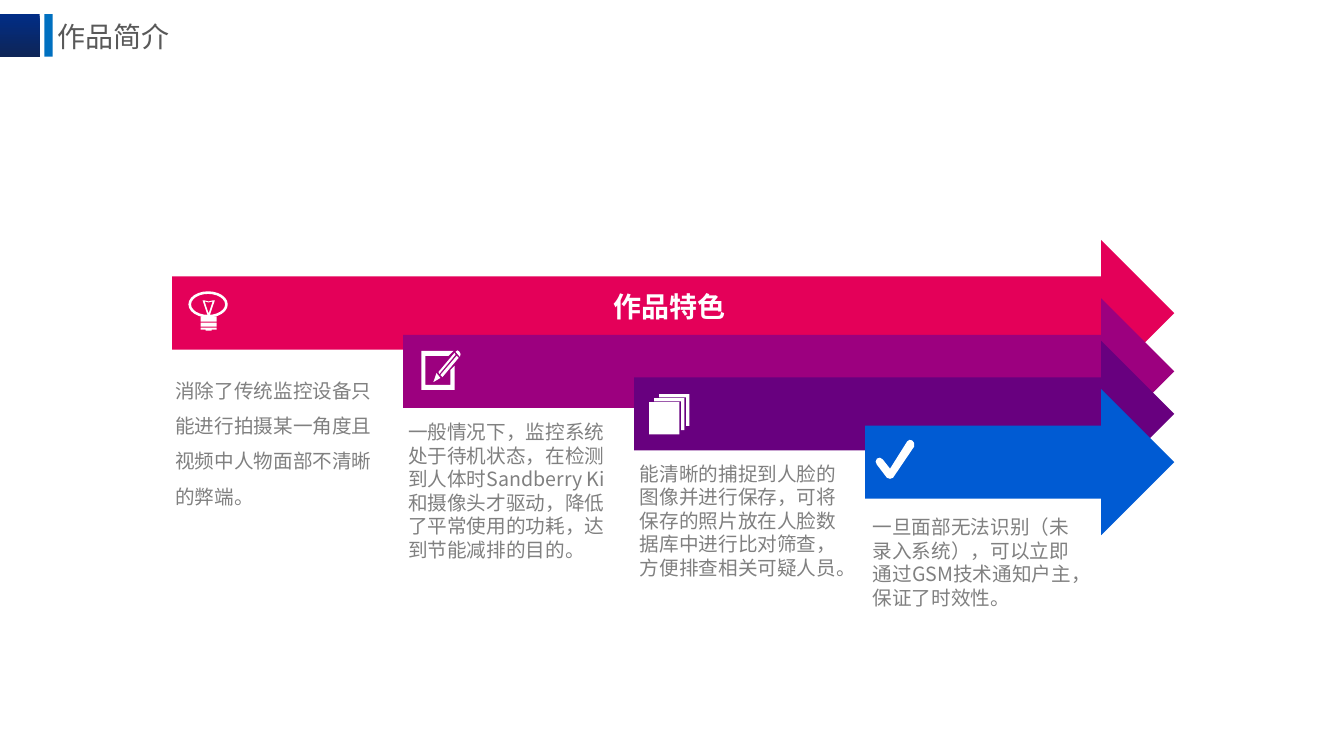
from dataclasses import dataclass

from lxml import etree
from pptx import Presentation
from pptx import util as u
from pptx.dml import color
from pptx.enum import shapes, text
from pptx.oxml import ns

COLORS = {
    "navy": "012D86", "midnight": "0E2557", "sky": "0070C0",
    "heading": "595959", "body": "808080", "white": "FFFFFF",
    "pink": "E40059", "magenta": "9C007F", "purple": "68007F", "blue": "005BD3",
}
CJK_FONT = "Noto Sans CJK SC"
ARROW_LEFT, ARROW_STEP, ARROW_TIP, ARROW_HEIGHT = 123, 165, 838.8, 104.4

Box = tuple[float, float, float, float]
Contour = list[tuple[float, float]]


@dataclass
class Feature:
    color: str
    arrow_top: float
    note_box: Box
    note: str
    line_spacing: float = 1.0


@dataclass
class Icon:
    outlines: list[list[Contour]]
    boxes: list[Box]
    rings: list[Box]


FEATURES = [
    Feature("pink", 171.4, (118.1, 258.5, 157, 105.8),
            "消除了传统监控设备只能进行拍摄某一角度且视频中人物面部不清晰的弊端。", 1.5),
    Feature("magenta", 213.1, (284.4, 296.6, 157, 108.7),
            "一般情况下，监控系统处于待机状态，在检测到人体时Sandberry Ki和摄像头才驱动，"
            "降低了平常使用的功耗，达到节能减排的目的。"),
    Feature("purple", 243.4, (450, 326.2, 157, 92.2),
            "能清晰的捕捉到人脸的图像并进行保存，可将保存的照片放在人脸数据库中进行比对筛查，"
            "方便排查相关可疑人员。"),
    Feature("blue", 277.9, (616.3, 364.3, 161.3, 74.9),
            "一旦面部无法识别（未录入系统），可以立即通过GSM技术通知户主，保证了时效性。"),
]


def page_edge(left: float, top: float, width: float, height: float) -> Contour:
    """Outline the strip along the top and right of a page that lies behind another."""
    right, bottom, strip = left + width, top + height, 2.4
    return [(left, top), (right, top), (right, bottom), (right - strip, bottom),
            (right - strip, top + strip), (left, top + strip)]


BULB = Icon(
    outlines=[
        [[(143.3, 234), (154.8, 234), (154.8, 235.4), (151.2, 235.4), (151.2, 236.2),
          (146.9, 236.2), (146.9, 235.4), (143.3, 235.4)]],
        [[(144.7, 214.6), (146.2, 214.6), (149, 215.3), (151.9, 214.6), (153.4, 214.6),
          (149.8, 225.4), (148.3, 225.4)],
         [(149, 223.9), (151.9, 215.3), (149, 216), (146.2, 215.3)]],
    ],
    boxes=[(143.3, 226, 11.5, 3.7), (143.3, 230.4, 11.5, 2.9)],
    rings=[(134.6, 208.1, 28.1, 18.7)],
)
PENCIL = Icon(
    outlines=[
        [[(314.6, 270), (311.8, 266.4), (309.6, 272.9)]],
        [[(324.7, 252), (313.2, 265.7), (313.9, 267.1), (325.4, 253.4)]],
        [[(314.6, 267.8), (316.1, 269.3), (327.6, 255.6), (326.2, 254.2)]],
        [[(325.4, 251.3), (326.9, 250.2), (328.2, 251.3), (329, 253), (328.5, 254.9)]],
        [[(321.8, 275), (303.8, 275), (303.8, 254.2), (320.4, 254.2), (324, 250.6),
          (301, 250.6), (301, 278.6), (324.7, 278.6), (324.7, 261.4), (321.8, 264.2)]],
    ],
    boxes=[], rings=[],
)
PAGES = Icon(
    outlines=[[page_edge(463.7 + 3.6 * i, 287.3 - 2.9 * i, 21.6, 22.8)] for i in (1, 2)],
    boxes=[(463.7, 287.3, 21.6, 23)], rings=[],
)
CHECK = Icon(
    outlines=[[[(635.8, 342), (633.6, 341.3), (626.4, 331.9), (625.5, 329.8), (626.4, 327.6),
                (628.6, 326.9), (630.7, 328.3), (635.8, 334.8), (648, 315.4), (649.6, 314.2),
                (651.6, 314.6), (653, 316.4), (653, 319), (637.9, 341.3)]]],
    boxes=[], rings=[],
)


def rgb(name: str) -> color.RGBColor:
    return color.RGBColor.from_string(COLORS[name])


def paint(shape, color_name: str) -> None:
    shape.shadow.inherit = False
    shape.line.fill.background()
    shape.fill.solid()
    shape.fill.fore_color.rgb = rgb(color_name)


def add_preset(parent, kind: shapes.MSO_SHAPE, box: Box, color_name: str):
    shape = parent.add_shape(kind, *map(u.Pt, box))
    paint(shape, color_name)
    return shape


def add_run(paragraph, words: str, size: float, color_name: str,
            latin: str = CJK_FONT, bold: bool = False) -> None:
    run = paragraph.add_run()
    run.text = words
    run.font.name = latin
    run.font.size = u.Pt(size)
    run.font.bold = bold
    run.font.color.rgb = rgb(color_name)
    latin_element = run.font._element.find(ns.qn("a:latin"))
    east_asian = etree.Element(ns.qn("a:ea"), typeface=CJK_FONT)
    latin_element.addnext(east_asian)


def add_outline(parent, contours: list[Contour]) -> None:
    points = [[(u.Pt(x), u.Pt(y)) for x, y in contour] for contour in contours]
    builder = parent.build_freeform(*points[0][0], scale=1.0)
    for index, contour in enumerate(points):
        if index:
            builder.move_to(*contour[0])
        builder.add_line_segments(contour[1:], close=True)
    paint(builder.convert_to_shape(), "white")


def add_icon(slide, icon: Icon) -> None:
    group = slide.shapes.add_group_shape().shapes
    for ring in icon.rings:
        add_preset(group, shapes.MSO_SHAPE.DONUT, ring, "white").adjustments[0] = 0.1
    for box in icon.boxes:
        add_preset(group, shapes.MSO_SHAPE.RECTANGLE, box, "white")
    for contours in icon.outlines:
        add_outline(group, contours)


def add_header(slide) -> None:
    block = add_preset(slide.shapes, shapes.MSO_SHAPE.RECTANGLE, (-0.7, 10.1, 29, 30.5), "navy")
    block.fill.gradient()
    block.fill.gradient_angle = 270
    for stop, name in zip(block.fill.gradient_stops, ("navy", "midnight")):
        stop.color.rgb = rgb(name)
    add_preset(slide.shapes, shapes.MSO_SHAPE.RECTANGLE, (31.7, 10.1, 6, 30.5), "sky")

    title = slide.shapes.title
    title.left, title.top, title.width, title.height = map(u.Pt, (33.8, 4.3, 234.7, 43.9))
    frame = title.text_frame
    frame.auto_size = text.MSO_AUTO_SIZE.NONE
    frame.vertical_anchor = text.MSO_ANCHOR.MIDDLE
    paragraph = frame.paragraphs[0]
    paragraph.alignment = text.PP_ALIGN.LEFT
    paragraph.space_before = u.Pt(10.6)
    add_run(paragraph, "作品简介", 20, "heading")


def add_note(slide, feature: Feature) -> None:
    frame = slide.shapes.add_textbox(*map(u.Pt, feature.note_box)).text_frame
    frame.word_wrap = True
    frame.auto_size = text.MSO_AUTO_SIZE.SHAPE_TO_FIT_TEXT
    paragraph = frame.paragraphs[0]
    paragraph.line_spacing = feature.line_spacing
    add_run(paragraph, feature.note, 14, "body")


def add_arrow(slide, index: int, feature: Feature):
    left = ARROW_LEFT + ARROW_STEP * index
    box = (left, feature.arrow_top, ARROW_TIP - left, ARROW_HEIGHT)
    return add_preset(slide.shapes, shapes.MSO_SHAPE.RIGHT_ARROW, box, feature.color)


def label_arrow(arrow) -> None:
    frame = arrow.text_frame
    frame.margin_left, frame.margin_top, frame.margin_right, frame.margin_bottom = map(
        u.Pt, (20.8, 0, 0, 14.2))
    frame.vertical_anchor = text.MSO_ANCHOR.MIDDLE
    paragraph = frame.paragraphs[0]
    paragraph.alignment = text.PP_ALIGN.CENTER
    paragraph.line_spacing = 1.2
    add_run(paragraph, "作品特色", 20, "white", latin="Arial", bold=True)


def main() -> None:
    presentation = Presentation()
    presentation.slide_width, presentation.slide_height = u.Pt(960), u.Pt(540)
    slide = presentation.slides.add_slide(presentation.slide_layouts.get_by_name("Title Only"))
    add_header(slide)
    for feature in FEATURES:
        add_note(slide, feature)
    arrows = [add_arrow(slide, index, feature) for index, feature in enumerate(FEATURES)]
    label_arrow(arrows[0])
    for icon in (CHECK, PAGES, BULB, PENCIL):
        add_icon(slide, icon)
    presentation.save("out.pptx")


if __name__ == "__main__":
    main()
